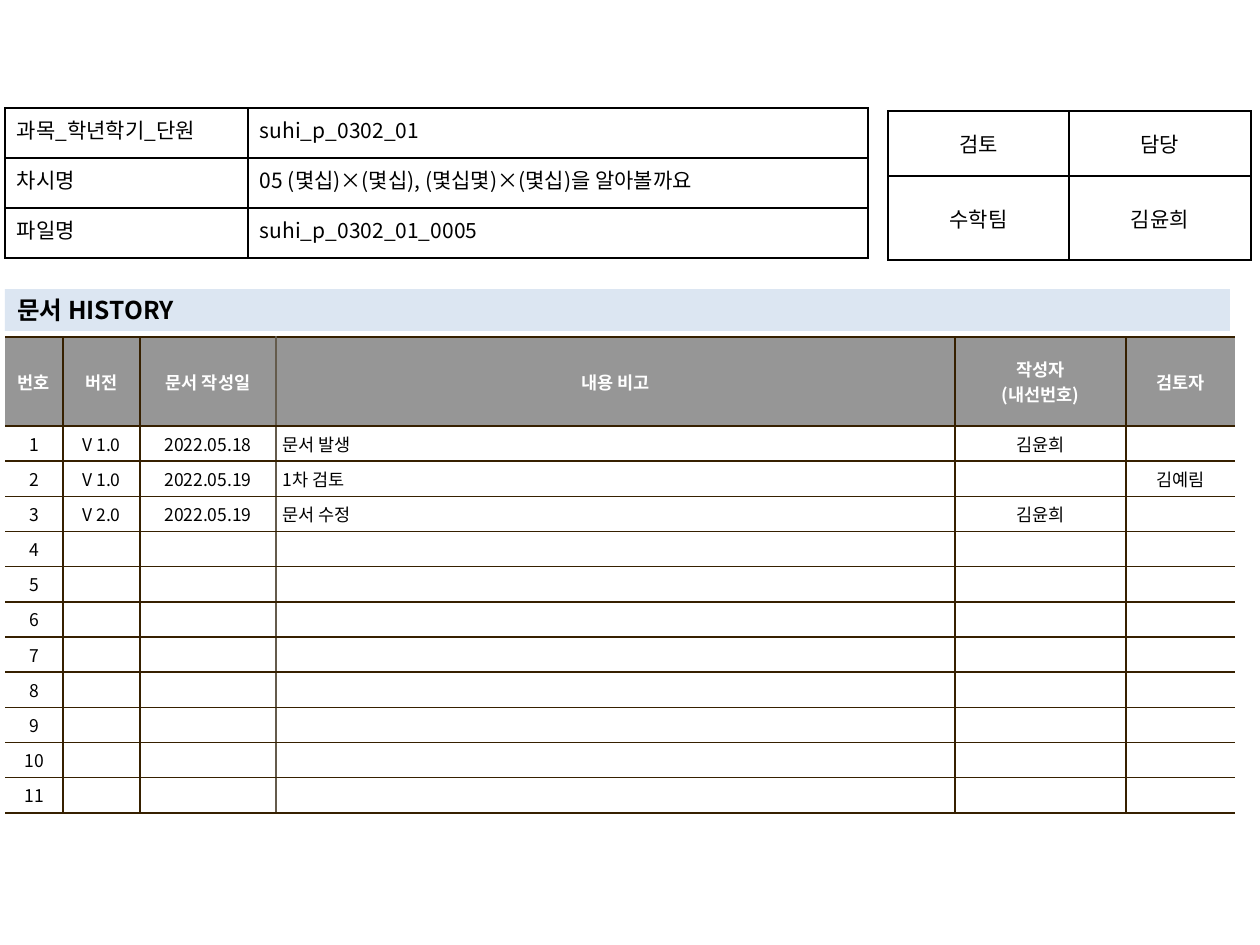
from lxml import etree
from pptx import Presentation
from pptx.dml.color import RGBColor
from pptx.enum.shapes import MSO_SHAPE
from pptx.enum.text import MSO_ANCHOR, PP_ALIGN
from pptx.oxml.ns import qn
from pptx.util import Pt

EMU_PER_PX = 914400 / 126
FONT = "Noto Sans CJK KR"
RECT = MSO_SHAPE.RECTANGLE
TOP, MIDDLE = MSO_ANCHOR.TOP, MSO_ANCHOR.MIDDLE
LEFT, CENTER, JUSTIFY = PP_ALIGN.LEFT, PP_ALIGN.CENTER, PP_ALIGN.JUSTIFY
COLORS = {
    "black": "000000", "white": "FFFFFF", "header": "969696",
    "brown": "362000", "taupe": "645B4C", "band": "DCE6F2",
}

INFO = [
    ["과목_학년학기_단원", "suhi_p_0302_01"],
    ["차시명", "05 (몇십)×(몇십), (몇십몇)×(몇십)을 알아볼까요"],
    ["파일명", "suhi_p_0302_01_0005"],
]
APPROVAL = [["검토", "담당"], ["수학팀", "김윤희"]]
HISTORY_HEADER = ["번호", "버전", "문서 작성일", "내용 비고", "작성자\n(내선번호)", "검토자"]
HISTORY = [
    ["V 1.0", "2022.05.18", "문서 발생", "김윤희", ""],
    ["V 1.0", "2022.05.19", "1차 검토", "", "김예림"],
    ["V 2.0", "2022.05.19", "문서 수정", "김윤희", ""],
]
HISTORY_ROWS = 11
DATE_COL, NOTE_COL = 2, 3


def px(n):
    return round(n * EMU_PER_PX)


def rgb(name):
    return RGBColor.from_string(COLORS[name])


def write(tf, text, size, color="black", bold=False, align=LEFT):
    for i, line in enumerate(text.split("\n")):
        p = tf.paragraphs[0] if i == 0 else tf.add_paragraph()
        p.alignment = align
        if not line:
            # an empty cell takes its line height from the end mark
            etree.SubElement(p._p, qn("a:endParaRPr"), sz=str(size * 100))
            continue
        r = p.add_run()
        r.text = line
        font = {"size": Pt(size), "name": FONT, "bold": bold}
        for key, value in font.items():
            setattr(r.font, key, value)
        r.font.color.rgb = rgb(color)
        etree.SubElement(r.font._element, qn("a:ea"), typeface=FONT)


def set_borders(cell, sides):
    """Draw 1 pt lines; sides maps L, R, T, B to a colour name or None."""
    tc_pr = cell._tc.get_or_add_tcPr()
    for i, side in enumerate("LRTB"):
        color = sides[side]
        ln = etree.Element(qn(f"a:ln{side}"), w=str(Pt(1)))
        if color:
            fill = etree.SubElement(ln, qn("a:solidFill"))
            etree.SubElement(fill, qn("a:srgbClr"), val=COLORS[color])
        else:
            etree.SubElement(ln, qn("a:noFill"))
        tc_pr.insert(i, ln)


def add_grid(s, x, y, cols, rows):
    """Add an unstyled table from column widths and row heights in px."""
    frame = s.shapes.add_table(len(rows), len(cols), px(x), px(y),
                               px(sum(cols)), px(sum(rows)))
    table = frame.table
    table.first_row = table.horz_banding = False
    for col, width in zip(table.columns, cols):
        col.width = px(width)
    for row, height in zip(table.rows, rows):
        row.height = px(height)
    return table


def format_cell(cell, anchor, margin_x, margin_y, fill=None):
    margins = {
        "margin_left": px(margin_x), "margin_right": px(margin_x),
        "margin_top": px(margin_y), "margin_bottom": px(margin_y),
        "vertical_anchor": anchor,
    }
    for key, value in margins.items():
        setattr(cell, key, value)
    if fill:
        cell.fill.solid()
        cell.fill.fore_color.rgb = rgb(fill)
    else:
        cell.fill.background()


def add_boxed_table(s, x, y, cols, rows, texts, anchor, aligns):
    table = add_grid(s, x, y, cols, rows)
    for i, line in enumerate(texts):
        for j, text in enumerate(line):
            cell = table.cell(i, j)
            format_cell(cell, anchor, 12, 6)
            set_borders(cell, dict.fromkeys("LRTB", "black"))
            write(cell.text_frame, text, 12, align=aligns[j])


def add_history_table(s, x, y, cols, header_height, row_height):
    rows = [header_height] + [row_height] * HISTORY_ROWS
    table = add_grid(s, x, y, cols, rows)
    last = len(cols) - 1
    for i in range(len(rows)):
        header = i == 0
        if header:
            line = HISTORY_HEADER
        else:
            entry = HISTORY[i - 1] if i <= len(HISTORY) else [""] * last
            line = [str(i)] + entry
        for j, text in enumerate(line):
            cell = table.cell(i, j)
            format_cell(cell, MIDDLE, 7, 5, "header" if header else "white")
            sides = dict.fromkeys("LRTB", "brown")
            if j == 0:
                sides["L"] = None
            if j == last:
                sides["R"] = None
            if j == DATE_COL:
                sides["R"] = "taupe"
            if j == NOTE_COL:
                sides["L"] = "taupe"
            set_borders(cell, sides)
            align = LEFT if j == NOTE_COL and not header else CENTER
            write(cell.text_frame, text, 10, "white" if header else "black",
                  header, align)


def add_heading(s, x, y, w, h):
    sp = s.shapes.add_shape(RECT, px(x), px(y), px(w), px(h))
    sp.shadow.inherit = False
    sp.fill.solid()
    sp.fill.fore_color.rgb = rgb("band")
    sp.line.fill.background()
    tf = sp.text_frame
    tf.word_wrap = True
    tf.vertical_anchor = MIDDLE
    write(tf, "문서 HISTORY", 14, bold=True)


def main():
    prs = Presentation()
    prs.slide_width, prs.slide_height = px(1260), px(945)
    s = prs.slides.add_slide(prs.slide_layouts[6])
    add_history_table(s, 5, 337, [58, 77, 136, 679, 171, 109], 89, 35)
    add_boxed_table(s, 888, 111, [181, 182], [65, 84], APPROVAL,
                    MIDDLE, [CENTER, CENTER])
    add_heading(s, 5, 289, 1225, 42)
    add_boxed_table(s, 5, 108, [243, 620], [50] * 3, INFO,
                    TOP, [JUSTIFY, LEFT])
    prs.save("out.pptx")


if __name__ == "__main__":
    main()
